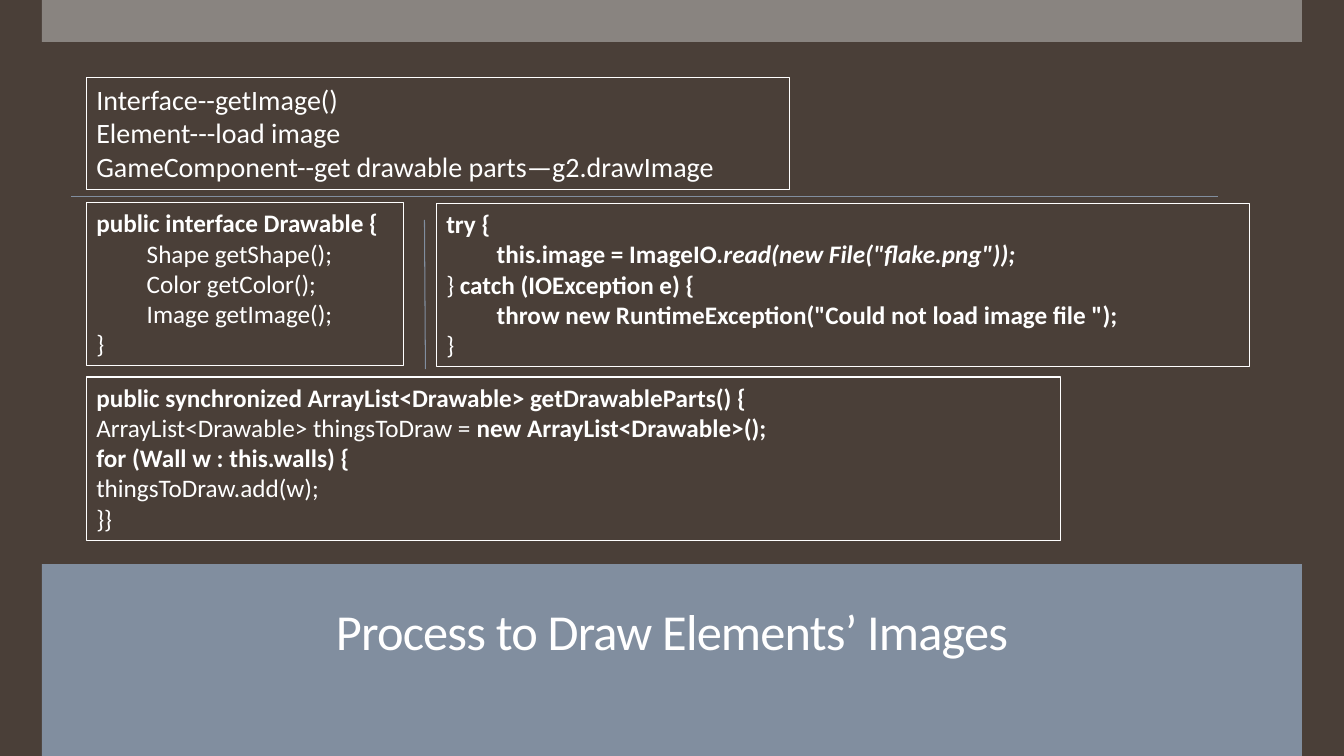
import pptx
import pptx.dml.color
import pptx.enum.shapes
import pptx.enum.text
import pptx.util
from lxml import etree
from pptx.util import Pt

FONT = "Calibri"
WHITE, BROWN, GRAY, BLUE = "FFFFFF", "4A3F38", "898480", "818E9F"
PAGE_WIDTH, PAGE_HEIGHT = 960, 540
BAND_LEFT, BAND_WIDTH = 30, 900
LEFT = 61.7
TAB = 36

# Each line of code is (indent level, [(text, style), ...]); style holds b and/or i.
OUTLINE = [
    (0, [("Interface--getImage()", "")]),
    (0, [("Element---load image", "")]),
    (0, [("GameComponent--get drawable parts—g2.drawImage", "")]),
]
DRAWABLE = [
    (0, [("public interface Drawable {", "b")]),
    (1, [("Shape getShape();", "")]),
    (1, [("Color getColor();", "")]),
    (1, [("Image getImage();", "")]),
    (0, [("}", "")]),
]
LOAD_IMAGE = [
    (0, [("try {", "b")]),
    (1, [("this.image = ImageIO.", "b"), ('read(new File("flake.png"));', "bi")]),
    (0, [("} ", ""), ("catch (IOException e) {", "b")]),
    (1, [('throw new RuntimeException("Could not load image file ");', "b")]),
    (0, [("}", "")]),
]
DRAWABLE_PARTS = [
    (0, [("public synchronized ArrayList<Drawable> getDrawableParts() {", "b")]),
    (0, [("ArrayList<Drawable> thingsToDraw = ", ""),
         ("new ArrayList<Drawable>();", "b")]),
    (0, [("for (Wall w : this.walls) {", "b")]),
    (0, [("thingsToDraw.add(w);", "")]),
    (0, [("}}", "")]),
]


def color(hex_string):
    return pptx.dml.color.RGBColor.from_string(hex_string)


def set_font(font, size):
    font.name = FONT
    font.size = Pt(size)
    font.color.rgb = color(WHITE)


def add_band(page, top, height, fill):
    band = page.shapes.add_shape(
        pptx.enum.shapes.MSO_SHAPE.RECTANGLE,
        Pt(BAND_LEFT), Pt(top), Pt(BAND_WIDTH), Pt(height))
    band.shadow.inherit = False
    band.fill.solid()
    band.fill.fore_color.rgb = color(fill)
    band.line.fill.background()


def add_title(page, left, top, width, height, text):
    box = page.shapes.add_textbox(Pt(left), Pt(top), Pt(width), Pt(height))
    frame = box.text_frame
    frame.word_wrap = True
    frame.vertical_anchor = pptx.enum.text.MSO_ANCHOR.MIDDLE
    para = frame.paragraphs[0]
    para.alignment = pptx.enum.text.PP_ALIGN.CENTER
    para.line_spacing = 0.9
    set_font(para.font, 36)
    span = para.add_run()
    span.text = text
    span.font._element.set("spc", "-60")


def add_code_box(page, left, top, width, height, size, lines):
    """Add an outlined text box with one paragraph for each line."""
    box = page.shapes.add_textbox(Pt(left), Pt(top), Pt(width), Pt(height))
    box.line.color.rgb = color(WHITE)
    box.line.width = Pt(0.75)
    frame = box.text_frame
    frame.word_wrap = True
    frame.auto_size = pptx.enum.text.MSO_AUTO_SIZE.SHAPE_TO_FIT_TEXT
    for number, (level, spans) in enumerate(lines):
        para = frame.add_paragraph() if number else frame.paragraphs[0]
        set_font(para.font, size)
        if level:
            para._p.get_or_add_pPr().set("marL", str(Pt(level * TAB)))
        for text, style in spans:
            span = para.add_run()
            span.text = text
            span.font.bold = "b" in style
            span.font.italic = "i" in style


def add_divider(page, start_x, start_y, end_x, end_y):
    divider = page.shapes.add_connector(
        pptx.enum.shapes.MSO_CONNECTOR.STRAIGHT,
        Pt(start_x), Pt(start_y), Pt(end_x), Pt(end_y))
    divider.line.color.rgb = color(BLUE)
    divider.line.width = Pt(0.75)
    etree.SubElement(divider._element.spPr,
                     pptx.oxml.ns.qn("a:effectLst"))


def build_page(deck):
    page = deck.slides.add_slide(deck.slide_layouts[6])
    page.background.fill.solid()
    page.background.fill.fore_color.rgb = color(BROWN)
    add_band(page, 0, 30, GRAY)
    add_band(page, 403, PAGE_HEIGHT - 403, BLUE)
    add_title(page, 50.4, 416, 859.2, 74, "Process to Draw Elements’ Images")
    add_code_box(page, LEFT, 55.3, 502.5, 80, 20, OUTLINE)
    add_code_box(page, LEFT, 144.8, 226.3, 116.6, 18, DRAWABLE)
    add_code_box(page, 311.7, 145.3, 581, 116.6, 18, LOAD_IMAGE)
    add_code_box(page, LEFT, 269.3, 696, 116.6, 18, DRAWABLE_PARTS)
    add_divider(page, 869.8, 140.4, 50.4, 140.4)
    add_divider(page, 303.2, 157, 303.9, 263.6)


def main():
    deck = pptx.Presentation()
    deck.slide_width = Pt(PAGE_WIDTH)
    deck.slide_height = Pt(PAGE_HEIGHT)
    build_page(deck)
    deck.save("out.pptx")


if __name__ == "__main__":
    main()
